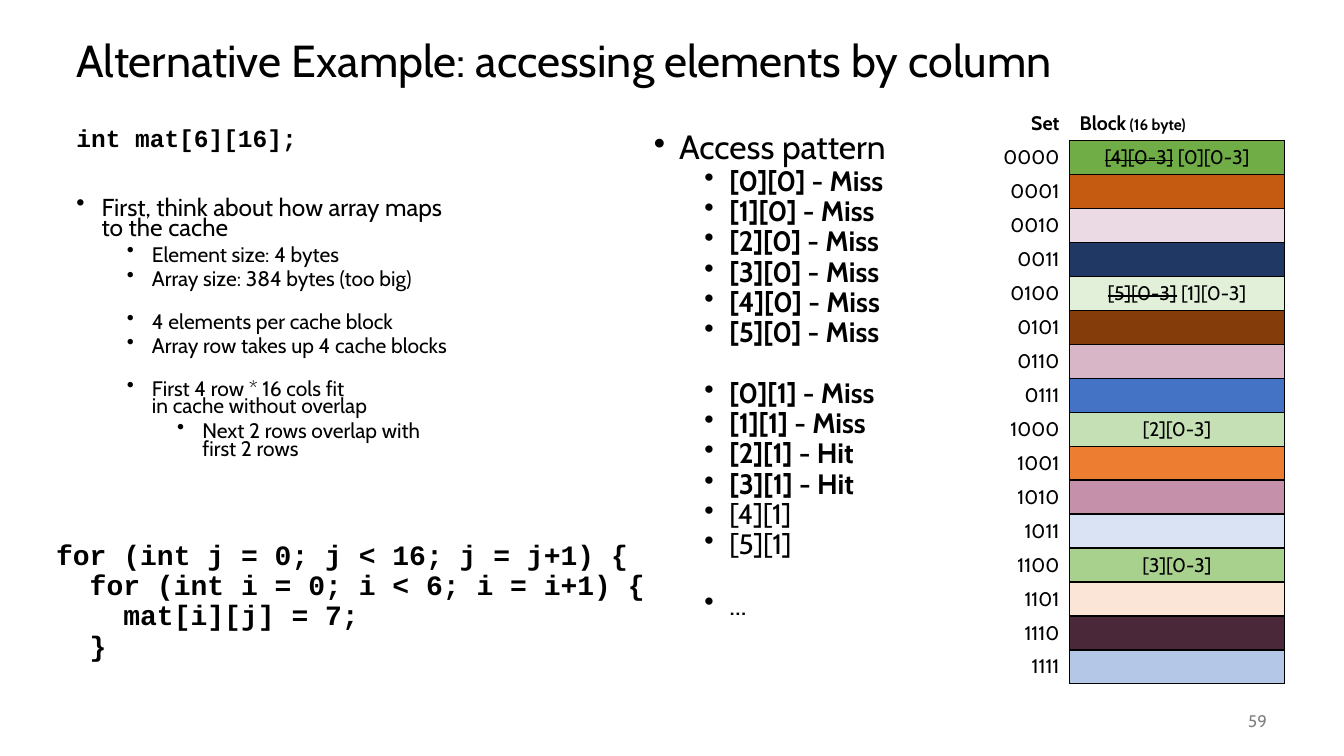
from lxml.etree import SubElement
from pptx import Presentation
from pptx.dml.color import RGBColor
from pptx.enum.text import MSO_ANCHOR as Anchor, PP_ALIGN as Align
from pptx.oxml.ns import qn
from pptx.util import Pt

BODY_FONT = "Cabin"
CODE_FONT = "Courier New"
BLACK = "000000"
WHITE = "FFFFFF"

CODE_LINES = [
    "for (int j = 0; j < 16; j = j+1) {",
    "  for (int i = 0; i < 6; i = i+1) {",
    "    mat[i][j] = 7;",
    "  }",
]
MAPPING_POINTS = [
    (0, "First, think about how array maps to the cache", 34.5),
    (1, "Element size: 4 bytes", 5),
    (1, "Array size: 384 bytes (too big)", 5),
    (1, "4 elements per cache block", 17.75),
    (1, "Array row takes up 4 cache blocks", 5),
    (1, "First 4 row * 16 cols fit\nin cache without overlap", 17.75),
    (2, "Next 2 rows overlap with first 2 rows", 5),
]
ACCESS_GROUPS = [
    ["[0][0] - Miss", "[1][0] - Miss", "[2][0] - Miss",
     "[3][0] - Miss", "[4][0] - Miss", "[5][0] - Miss"],
    ["[0][1] - Miss", "[1][1] - Miss", "[2][1] - Hit",
     "[3][1] - Hit", "[4][1]", "[5][1]"],
    ["..."],
]
GROUP_GAP = 21.9
BLOCK_FILLS = [
    "70AD47", "C55A11", "EBDAE3", "203864", "E2F0D9", "843C0B", "D8B5C7", "4472C4",
    "C5E0B4", "ED7D31", "C490AA", "DAE3F3", "A9D18E", "FBE5D6", "4A2839", "B4C7E7",
]
EVICTED_BLOCKS = {0: "[4][0-3]", 4: "[5][0-3]"}
CACHED_BLOCKS = {0: " [0][0-3]", 4: " [1][0-3]", 8: "[2][0-3]", 12: "[3][0-3]"}
ROW_HEIGHT = 24.29


def color(value):
    """Turn a hex string into a colour."""
    return RGBColor.from_string(value)


def add_run(paragraph, text, size, font=BODY_FONT, bold=False, ink=BLACK, strike=False):
    """Add text to a paragraph, with line breaks where the text has them."""
    for index, line in enumerate(text.split("\n")):
        if index:
            paragraph.add_line_break()
        run = paragraph.add_run()
        run.text = line
        run.font.size = Pt(size)
        run.font.name = font
        run.font.bold = bold
        run.font.color.rgb = color(ink)
        if strike:
            run._r.get_or_add_rPr().set("strike", "sngStrike")


def add_text_frame(slide, left, top, width, height, anchor=Anchor.TOP):
    """Add a wrapping text box and return its text frame."""
    frame = slide.shapes.add_textbox(Pt(left), Pt(top), Pt(width), Pt(height)).text_frame
    frame.word_wrap = True
    frame.vertical_anchor = anchor
    return frame


def next_paragraph(frame, line_spacing, space_before=0):
    """Return the empty first paragraph of a frame, or a new one."""
    first = frame.paragraphs[0]
    paragraph = frame.add_paragraph() if first.runs else first
    paragraph.line_spacing = line_spacing
    paragraph.space_before = Pt(space_before)
    return paragraph


def add_bullet(frame, level, text, size, line_spacing, space_before=0, bold=False):
    """Add a bulleted paragraph indented by its level."""
    paragraph = next_paragraph(frame, line_spacing, space_before)
    paragraph.level = level
    properties = paragraph._p.get_or_add_pPr()
    properties.set("marL", str(Pt(18 + 36 * level)))
    properties.set("indent", str(Pt(-18)))
    SubElement(properties, qn("a:buChar"), char="•")
    add_run(paragraph, text, size, bold=bold)


def add_borders(cell, sides):
    """Draw black one-point borders on the named sides of a cell."""
    for side in sides:
        line = SubElement(cell._tc.get_or_add_tcPr(), qn(f"a:ln{side}"), w=str(Pt(1)))
        fill = SubElement(line, qn("a:solidFill"))
        SubElement(fill, qn("a:srgbClr"), val=BLACK)


def style_cell(cell, fill, align, sides=""):
    """Set borders, fill and alignment of a cell and return its paragraph."""
    add_borders(cell, sides)
    cell.fill.solid()
    cell.fill.fore_color.rgb = color(fill)
    cell.vertical_anchor = Anchor.MIDDLE
    cell.margin_top = cell.margin_bottom = Pt(0)
    paragraph = cell.text_frame.paragraphs[0]
    paragraph.alignment = align
    return paragraph


def add_cache_table(slide):
    """Add the table of cache sets and the blocks they hold."""
    row_count = len(BLOCK_FILLS) + 1
    table = slide.shapes.add_table(
        row_count, 2, Pt(700), Pt(76), Pt(217.5), Pt(ROW_HEIGHT * row_count)).table
    table.first_row = table.horz_banding = False
    for column, width in zip(table.columns, (64, 153.5)):
        column.width = Pt(width)
    for row in table.rows:
        row.height = Pt(ROW_HEIGHT)

    add_run(style_cell(table.cell(0, 0), WHITE, Align.RIGHT), "Set", 14, bold=True)
    heading = style_cell(table.cell(0, 1), WHITE, Align.LEFT, "B")
    add_run(heading, "Block", 14, bold=True)
    add_run(heading, " (16 byte)", 11, bold=True)

    for index, fill in enumerate(BLOCK_FILLS):
        label = style_cell(table.cell(index + 1, 0), WHITE, Align.RIGHT, "R")
        add_run(label, f"{index:04b}", 14)
        block = style_cell(table.cell(index + 1, 1), fill, Align.CENTER, "LRTB")
        if index in EVICTED_BLOCKS:
            add_run(block, EVICTED_BLOCKS[index], 14, strike=True)
        if index in CACHED_BLOCKS:
            add_run(block, CACHED_BLOCKS[index], 14)


def add_mapping(slide):
    """Add the array declaration and how the array maps to the cache."""
    frame = add_text_frame(slide, 47.5, 90, 283, 257)
    add_run(next_paragraph(frame, 0.7), "int mat[6][16];", 17.5, CODE_FONT, bold=True)
    for level, text, space_before in MAPPING_POINTS:
        add_bullet(frame, level, text, 15 if level else 17.5, 0.7, space_before)


def add_access_pattern(slide):
    """Add the list of accesses with their known results in bold."""
    frame = add_text_frame(slide, 460, 90, 452, 396)
    add_bullet(frame, 0, "Access pattern", 24, 0.9)
    for group_index, group in enumerate(ACCESS_GROUPS):
        for index, access in enumerate(group):
            gap = GROUP_GAP if group_index and index == 0 else 0
            add_bullet(frame, 1, access, 20, 0.9, gap, bold=" - " in access)


def main():
    """Build the slide and save it."""
    presentation = Presentation()
    presentation.slide_width = Pt(960)
    presentation.slide_height = Pt(540)
    slide = presentation.slides.add_slide(presentation.slide_layouts[6])

    title = add_text_frame(slide, 47.5, 18, 864, 54, Anchor.MIDDLE)
    add_run(next_paragraph(title, 0.9),
            "Alternative Example: accessing elements by column", 32)

    number = next_paragraph(add_text_frame(slide, 840, 500.5, 72, 29, Anchor.MIDDLE), 1)
    number.alignment = Align.RIGHT
    add_run(number, "59", 12, ink="808080")

    code = add_text_frame(slide, 33, 383, 545, 101)
    for line in CODE_LINES:
        add_run(next_paragraph(code, 0.9), line, 20, CODE_FONT, bold=True)

    add_mapping(slide)
    add_cache_table(slide)
    add_access_pattern(slide)
    presentation.save("out.pptx")


if __name__ == "__main__":
    main()
